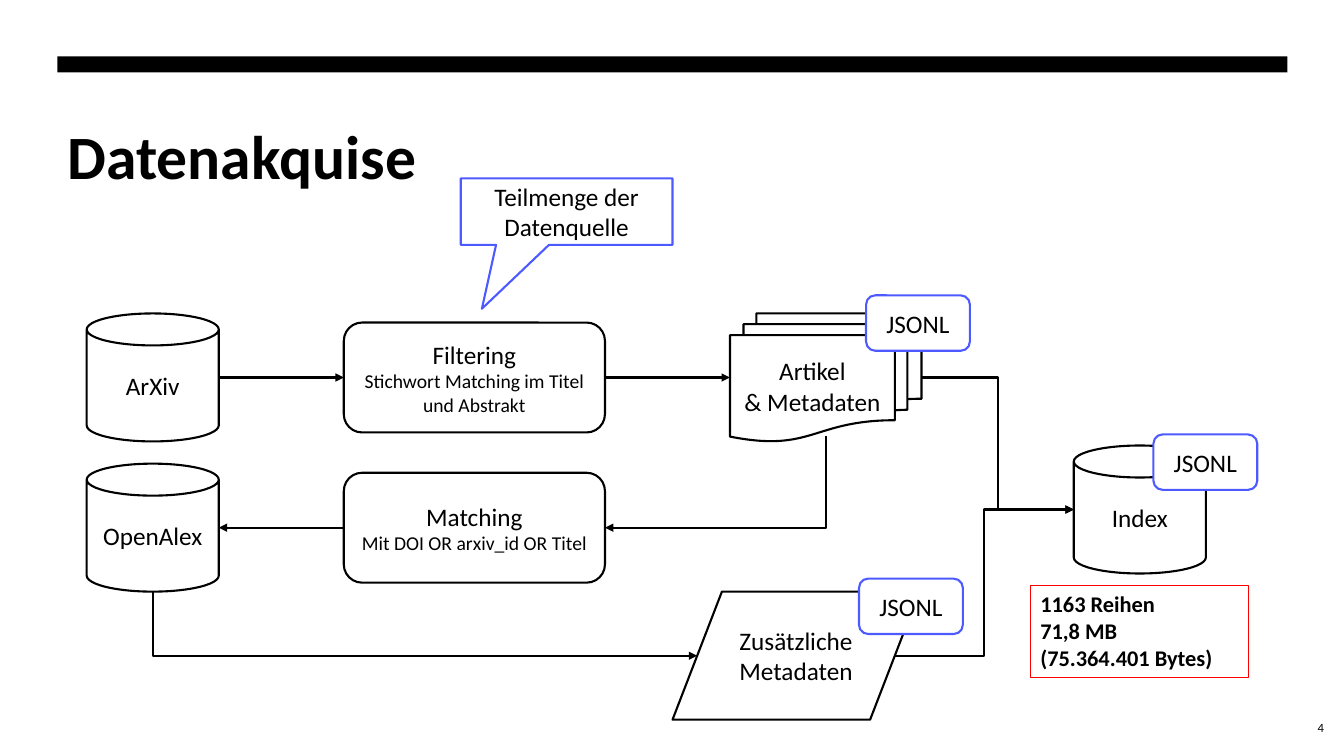
from dataclasses import dataclass

from lxml.etree import SubElement
from pptx import Presentation
from pptx.dml.color import RGBColor
from pptx.enum.shapes import MSO_CONNECTOR, MSO_SHAPE
from pptx.enum.text import MSO_ANCHOR, PP_ALIGN
from pptx.oxml.ns import qn
from pptx.util import Inches, Pt


@dataclass(frozen=True)
class Theme:
    font: str = "Calibri"
    black: RGBColor = RGBColor(0, 0, 0)
    white: RGBColor = RGBColor(255, 255, 255)
    blue: RGBColor = RGBColor(0x4D, 0x5A, 0xFF)
    red: RGBColor = RGBColor(255, 0, 0)
    title: int = 44
    body: int = 18
    stats: int = 16
    detail: int = 14
    number: int = 9
    stroke: float = 1.5
    thin: float = 0.75


T = Theme()


def write(sp, lines, align=PP_ALIGN.CENTER, anchor=MSO_ANCHOR.MIDDLE, bold=False):
    tf = sp.text_frame
    tf.word_wrap = True
    tf.vertical_anchor = anchor
    for i, (text, size) in enumerate(lines):
        p = tf.paragraphs[0] if i == 0 else tf.add_paragraph()
        p.alignment = align
        r = p.add_run()
        r.text = text
        r.font.name = T.font
        r.font.size = Pt(size)
        r.font.bold = bold
        r.font.color.rgb = T.black


def add_node(s, kind, box, lines=(), line=T.black, fill=T.white, width=T.stroke, **style):
    sp = s.shapes.add_shape(kind, *map(Inches, box))
    sp.shadow.inherit = False
    if fill is None:
        sp.fill.background()
    else:
        sp.fill.solid()
        sp.fill.fore_color.rgb = fill
    sp.line.color.rgb = line
    sp.line.width = Pt(width)
    write(sp, lines, **style)
    return sp


def add_tag(s, box, dx, dy):
    left, top, width, _ = box
    add_node(s, MSO_SHAPE.ROUNDED_RECTANGLE, (left + width + dx, top + dy, 1.03, 0.55),
             [("JSONL", T.body)], T.blue)


def add_arrow(s, start, end, kind=MSO_CONNECTOR.STRAIGHT):
    cn = s.shapes.add_connector(kind, *map(Inches, (*start, *end)))
    cn.line.color.rgb = T.black
    cn.line.width = Pt(T.stroke)
    props = cn._element.spPr
    SubElement(props.find(qn("a:ln")), qn("a:tailEnd"), type="triangle")
    SubElement(props, qn("a:effectLst"))
    return cn


def add_corner_arrow(s, start, end):
    (x1, y1), (x2, y2) = start, end
    mid_x, mid_y = (x1 + x2) / 2, (y1 + y2) / 2
    half_w, half_h = (y2 - y1) / 2, abs(x2 - x1) / 2
    side = 1 if x2 < x1 else -1
    cn = add_arrow(s, (mid_x - side * half_w, mid_y - half_h),
                   (mid_x + side * half_w, mid_y + half_h), MSO_CONNECTOR.ELBOW)
    props = cn._element.spPr
    props.find(qn("a:prstGeom")).set("prst", "bentConnector2")
    props.find(qn("a:xfrm")).set("rot", str((90 if side == 1 else 270) * 60000))


def middle(box, side):
    left, top, width, height = box
    return {"left": (left, top + height / 2),
            "right": (left + width, top + height / 2),
            "bottom": (left + width / 2, top + height)}[side]


def add_header(s, box):
    left, top, width, _ = box
    add_node(s, MSO_SHAPE.RECTANGLE, (left, top, width, 0.16), fill=T.black).line.fill.background()
    title = s.shapes.title
    title.left, title.top, title.width, title.height = map(Inches, (left, top + 0.51, width, 0.94))
    write(title, [("Datenakquise", T.title)], PP_ALIGN.LEFT, bold=True)


def add_pipeline(s, box):
    left, top, width, _ = box
    row_gap = 1.49
    arxiv = (left, top, 1.31, 1.27)
    openalex = (left, top + row_gap, 1.31, 1.27)
    filtering = (left + 2.55, top + 0.09, 2.59, 1.09)
    matching = (left + 2.55, top + 0.09 + row_gap, 2.59, 1.09)
    articles = (left + 6.38, top, 1.9, 1.27)
    extra = (left + 5.81, top + 2.76, 2.45, 1.27)
    index = (left + width - 1.31, top + 1.31, 1.31, 1.27)

    for place, name in ((arxiv, "ArXiv"), (openalex, "OpenAlex"), (index, "Index")):
        add_node(s, MSO_SHAPE.CAN, place, [(name, T.body)])
    filter_sp = add_node(s, MSO_SHAPE.ROUNDED_RECTANGLE, filtering, [
        ("Filtering", T.body), ("Stichwort Matching im Titel und Abstrakt", T.detail)])
    match_sp = add_node(s, MSO_SHAPE.ROUNDED_RECTANGLE, matching, [
        ("Matching", T.body), ("Mit DOI OR arxiv_id OR Titel", T.detail)])
    add_node(s, MSO_SHAPE.FLOWCHART_MULTIDOCUMENT, articles,
             [("Artikel", T.body), ("& Metadaten", T.body)])
    add_node(s, MSO_SHAPE.FLOWCHART_DATA, extra, [("Zusätzliche Metadaten", T.body)])

    add_arrow(s, middle(arxiv, "right"), middle(filtering, "left")).end_connect(filter_sp, 1)
    add_arrow(s, middle(filtering, "right"), middle(articles, "left")).begin_connect(filter_sp, 3)
    add_arrow(s, middle(matching, "left"), middle(openalex, "right")).begin_connect(match_sp, 1)

    slant = extra[2] / 10
    extra_left, extra_y = middle(extra, "left")
    extra_right, _ = middle(extra, "right")
    articles_x, articles_bottom = middle(articles, "bottom")
    add_corner_arrow(s, (articles_x, articles_bottom - 0.05), middle(matching, "right"))
    add_corner_arrow(s, middle(openalex, "bottom"), (extra_left + slant, extra_y))
    for start in (middle(articles, "right"), (extra_right - slant, extra_y)):
        add_arrow(s, start, middle(index, "left"), MSO_CONNECTOR.ELBOW)

    add_tag(s, articles, -0.55, -0.18)
    add_tag(s, extra, -0.6, -0.13)
    add_tag(s, index, -0.52, -0.11)


def add_callout(s, box):
    sp = add_node(s, MSO_SHAPE.RECTANGULAR_CALLOUT, box,
                  [("Teilmenge der Datenquelle", T.body)], T.blue)
    sp.adjustments[0] = -0.4
    sp.adjustments[1] = 1.46


def add_stats(s, box):
    lines = ("1163 Reihen", "71,8 MB", "(75.364.401 Bytes)")
    add_node(s, MSO_SHAPE.RECTANGLE, box, [(line, T.stats) for line in lines], T.red, None,
             T.thin, align=PP_ALIGN.LEFT, anchor=MSO_ANCHOR.TOP, bold=True)


def add_number(s, box):
    write(s.shapes.add_textbox(*map(Inches, box)), [("4", T.number)], PP_ALIGN.RIGHT)


def main():
    prs = Presentation()
    prs.slide_width, prs.slide_height = Inches(13.33), Inches(7.5)
    s = prs.slides.add_slide(prs.slide_layouts[5])
    add_header(s, (0.57, 0.56, 12.2, 1.45))
    add_pipeline(s, (0.86, 3.11, 11.1, 4.03))
    add_stats(s, (10.22, 5.81, 2.16, 0.91))
    add_callout(s, (4.57, 1.77, 2.1, 0.66))
    add_number(s, (12.53, 7.02, 0.7, 0.4))
    prs.save("out.pptx")


if __name__ == "__main__":
    main()
